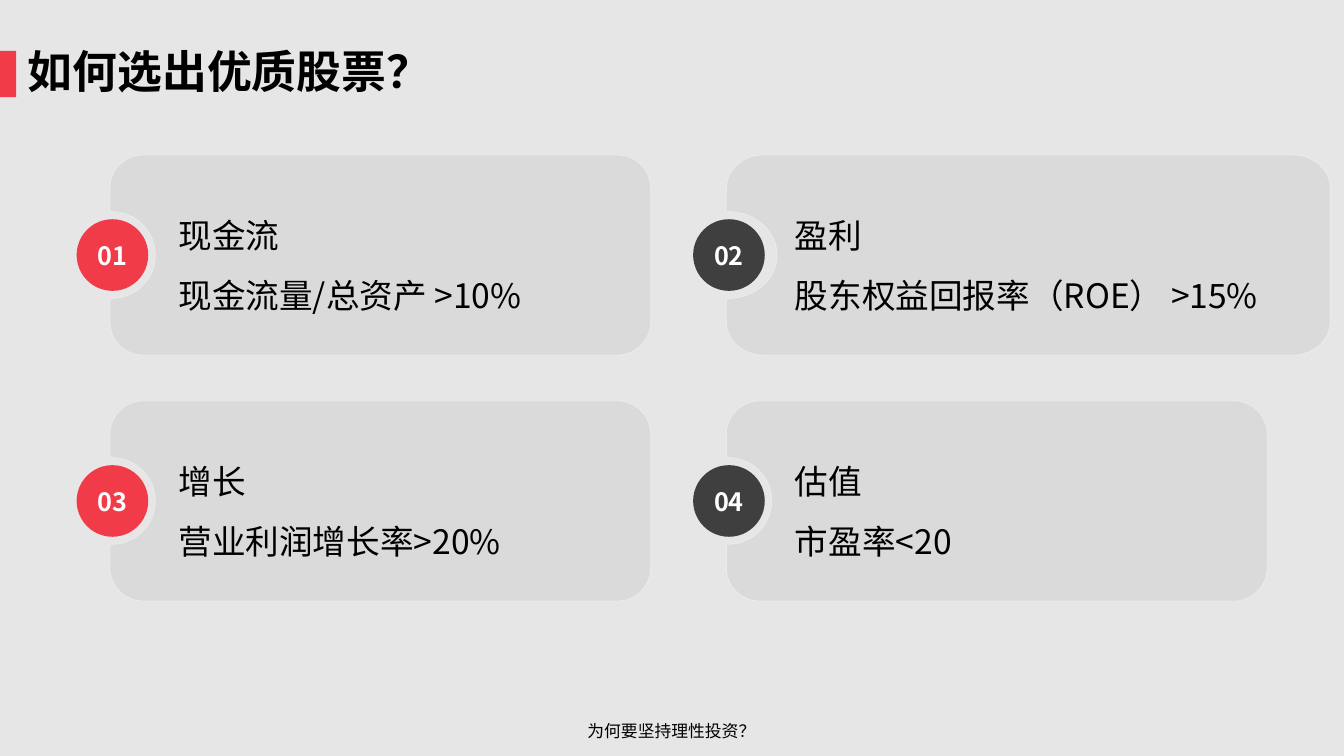
from dataclasses import dataclass

from lxml.etree import SubElement
from pptx import Presentation
from pptx.dml.color import RGBColor as Rgb
from pptx.enum.shapes import MSO_SHAPE as Kind
from pptx.enum.text import MSO_ANCHOR as Anchor, MSO_AUTO_SIZE as Fit, PP_ALIGN as Align
from pptx.oxml.ns import qn
from pptx.util import Inches, Pt

WIDE, HIGH = Inches(13.33), Inches(7.5)
PARTS = 100


@dataclass(frozen=True)
class Theme:
    font: str = "Noto Sans CJK SC"
    back: str = "E7E6E6"
    red: str = "F23B48"
    dark: str = "3F3F3F"
    gray: str = "999999"
    white: str = "FFFFFF"
    black: str = "000000"
    title: int = 32
    body: int = 24
    badge: int = 18
    foot: int = 12
    tint: int = 15
    edge: int = 40


@dataclass(frozen=True)
class Box:
    left: float
    top: float
    width: float
    height: float

    def place(self) -> tuple:
        return col(self.left), row(self.top), col(self.width), row(self.height)


@dataclass(frozen=True)
class Card:
    head: str
    rule: str
    width: float = 40.23


THEME = Theme()
BAR = Box(0, 6.74, 1.2, 6.13)
TITLE = Box(2.07, 6.74, 94.07, 6.13)
FOOT = Box(33.08, 94.67, 33.76, 5.33)
LEFT, TOP = 8.18, 20.5
WIDTH, HEIGHT = 40.23, 26.47
STEP_X, STEP_Y = 45.87, 32.53
CURVE = 2.48
NOTCH, SHIFT = 3.23, 0.15
DISC = 5.33
BEND = 0.55
CARDS = [
    Card("现金流", "现金流量/总资产 >10%"),
    Card("盈利", "股东权益回报率（ROE） >15%", 44.93),
    Card("增长", "营业利润增长率>20%"),
    Card("估值", "市盈率<20"),
]


def col(count: float) -> int:
    return round(WIDE * count / PARTS)


def row(count: float) -> int:
    return round(HIGH * count / PARTS)


def write(para, text: str, size: int, tone: str, bold: bool = False) -> None:
    run = para.add_run()
    run.text = text
    font = run.font
    font.name, font.size, font.bold = THEME.font, Pt(size), bold
    font.color.rgb = Rgb.from_string(tone)
    east = SubElement(run._r.get_or_add_rPr(), qn("a:ea"))
    east.set("typeface", THEME.font)


def frame(shape, left: float = 0, right: float = 0, wrap: bool = True):
    area = shape.text_frame
    area.margin_left, area.margin_right = col(left), col(right)
    area.margin_top = area.margin_bottom = 0
    area.vertical_anchor = Anchor.MIDDLE
    area.auto_size, area.word_wrap = Fit.NONE, wrap
    return area


def plain(slide, kind, box: Box, tone: str):
    shape = slide.shapes.add_shape(kind, *box.place())
    shape.shadow.inherit = False
    shape.fill.solid()
    shape.fill.fore_color.rgb = Rgb.from_string(tone)
    shape.line.fill.background()
    return shape


def toward(start: tuple, goal: tuple) -> tuple:
    return tuple(round(a + (b - a) * BEND) for a, b in zip(start, goal))


def curve(start: tuple, peak: tuple, end: tuple) -> list:
    return [toward(start, peak), toward(end, peak), end]


def outline(box: Box) -> list:
    left, top, width, height = box.place()
    stretch = box.width / WIDTH
    right, low, mid = left + width, top + height, top + height // 2
    flat, tall = col(CURVE * stretch), col(CURVE)
    near, far, high, deep = left + flat, right - flat, top + tall, low - tall
    hub = left + col(SHIFT * stretch)
    tip = hub + col(NOTCH * stretch)
    over, under = mid - col(NOTCH), mid + col(NOTCH)
    return [
        [(near, top)],
        [(far, top)],
        curve((far, top), (right, top), (right, high)),
        [(right, deep)],
        curve((right, deep), (right, low), (far, low)),
        [(near, low)],
        curve((near, low), (left, low), (left, deep)),
        [(left, under)],
        [(hub, under)],
        curve((hub, under), (tip, under), (tip, mid)),
        curve((tip, mid), (tip, over), (hub, over)),
        [(left, over)],
        [(left, high)],
        curve((left, high), (left, top), (near, top)),
    ]


def trace(slide, parts: list):
    points = [point for part in parts for point in part]
    pen = slide.shapes.build_freeform(*points[0])
    pen.add_line_segments(points[1:], close=True)
    shape = pen.convert_to_shape()
    lines = iter(list(shape._element.spPr.iter(qn("a:lnTo"))))
    for part in parts[1:]:
        first, *rest = [next(lines) for _ in part]
        if rest:
            first.tag = qn("a:cubicBezTo")
        for line in rest:
            first.append(line[0])
            line.getparent().remove(line)
    return shape


def panel(slide, box: Box, card: Card) -> None:
    shape = trace(slide, outline(box))
    shape.shadow.inherit = False
    shape.fill.solid()
    shape.fill.fore_color.rgb = Rgb.from_string(THEME.gray)
    shape.line.color.rgb = Rgb.from_string(THEME.white)
    shape.line.width = Pt(0.5)
    tones = shape._element.spPr.iter(qn("a:srgbClr"))
    for tone, share in zip(tones, (THEME.tint, THEME.edge)):
        SubElement(tone, qn("a:alpha")).set("val", str(share * 1000))
    area = frame(shape, left=5.1, right=3.3)
    for para, text in zip((area.paragraphs[0], area.add_paragraph()), (card.head, card.rule)):
        para.alignment, para.line_spacing = Align.LEFT, 1.5
        write(para, text, THEME.body, THEME.black)


def badge(slide, box: Box, label: str, tone: str) -> None:
    size = DISC * WIDE / HIGH
    top = box.top + (box.height - size) / 2
    spot = Box(box.left - CURVE, top, DISC, size)
    para = frame(plain(slide, Kind.OVAL, spot, tone), wrap=False).paragraphs[0]
    para.alignment = Align.CENTER
    write(para, label, THEME.badge, THEME.white, True)


def main() -> None:
    deck = Presentation()
    deck.slide_width, deck.slide_height = WIDE, HIGH
    slide = deck.slides.add_slide(deck.slide_layouts[5])
    slide.background.fill.solid()
    slide.background.fill.fore_color.rgb = Rgb.from_string(THEME.back)
    plain(slide, Kind.RECTANGLE, BAR, THEME.red)

    title = slide.shapes.title
    title.left, title.top, title.width, title.height = TITLE.place()
    para = frame(title).paragraphs[0]
    para.alignment, para.line_spacing, para.space_before = Align.LEFT, 0.9, Pt(10)
    write(para, "如何选出优质股票？", THEME.title, THEME.black, True)

    for i, card in enumerate(CARDS):
        down, across = divmod(i, 2)
        box = Box(LEFT + across * STEP_X, TOP + down * STEP_Y, card.width, HEIGHT)
        panel(slide, box, card)
        badge(slide, box, f"{i + 1:02}", (THEME.red, THEME.dark)[across])

    foot = slide.shapes.add_textbox(*FOOT.place())
    foot.text_frame.word_wrap = True
    para = foot.text_frame.paragraphs[0]
    para.alignment = Align.CENTER
    write(para, "为何要坚持理性投资？", THEME.foot, THEME.black)
    deck.save("out.pptx")


if __name__ == "__main__":
    main()
